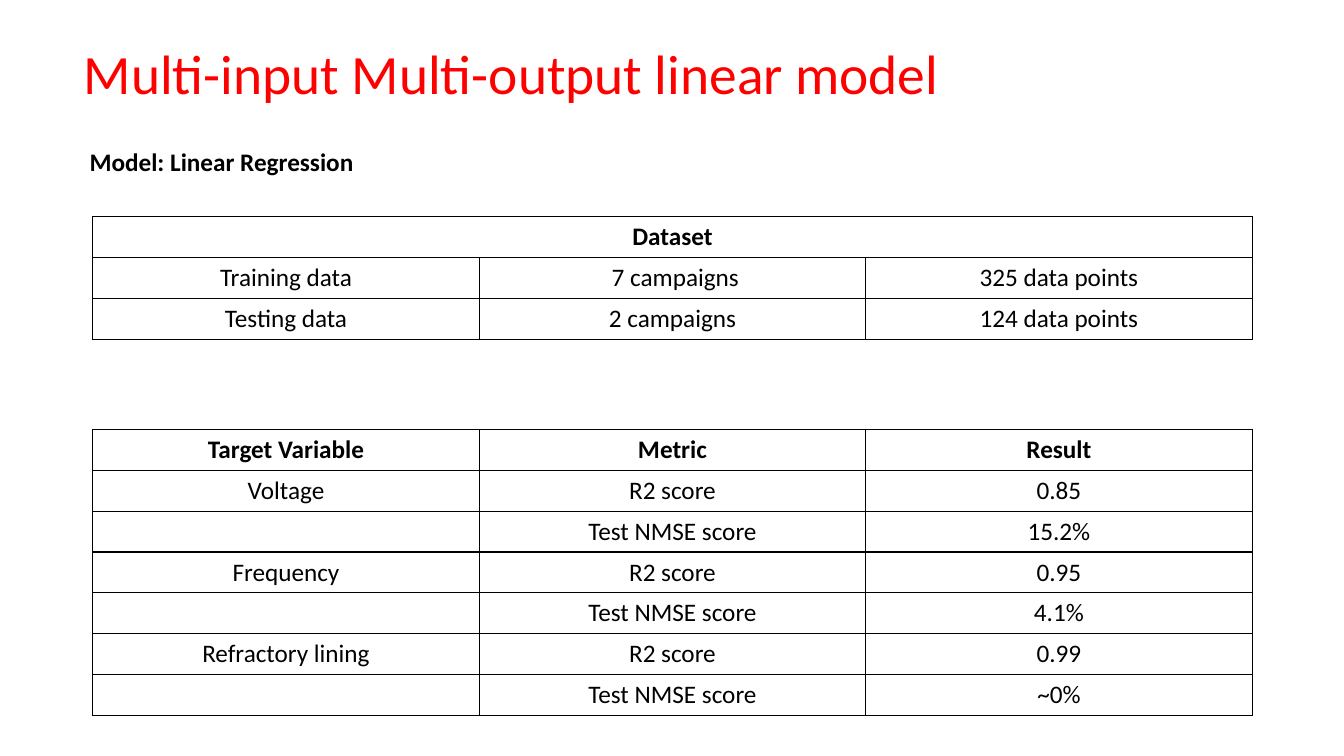
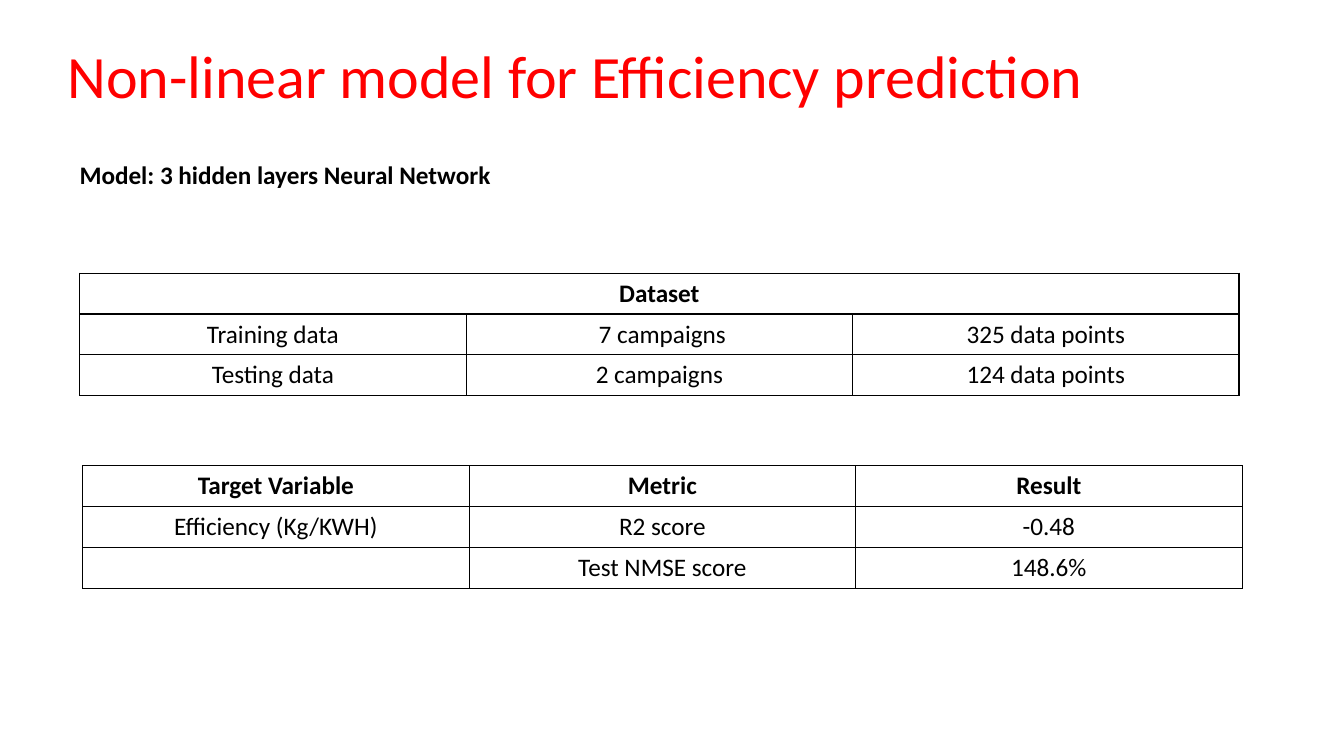
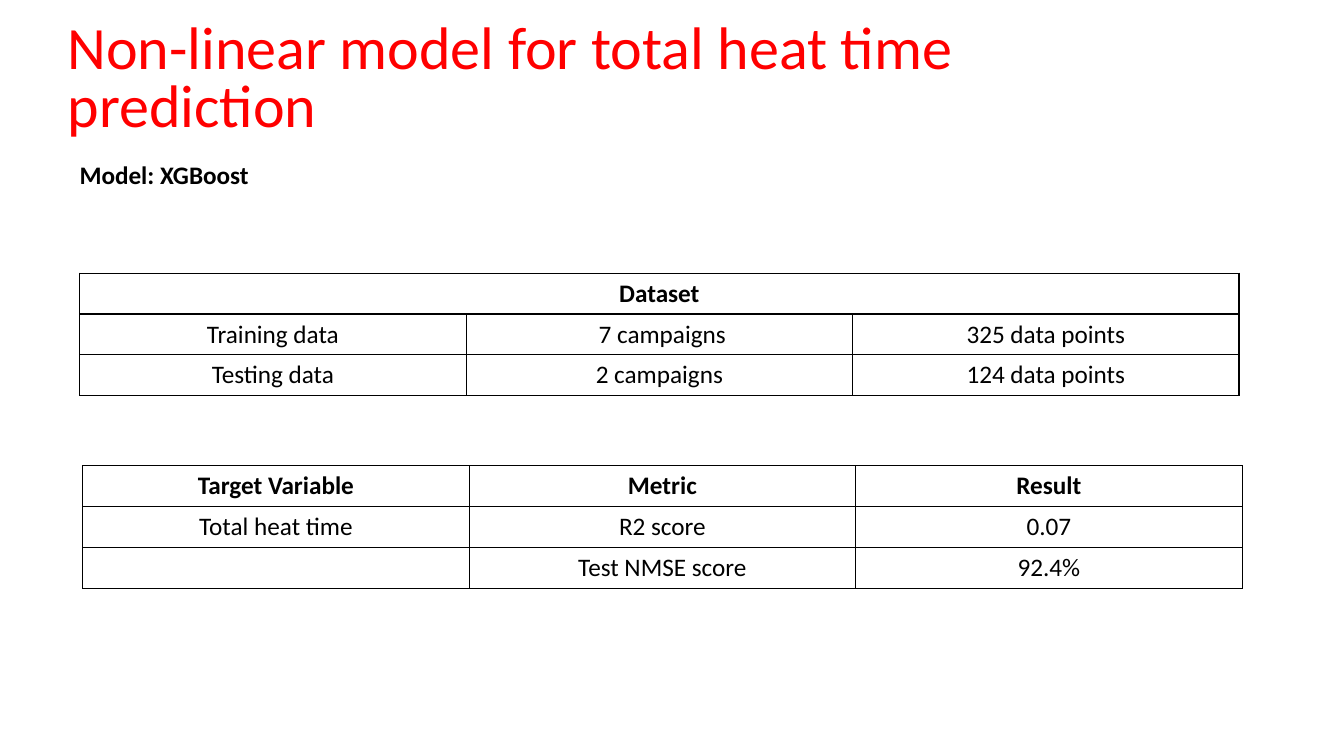
from lxml import etree
from pptx import Presentation
from pptx import util as u
from pptx.dml.color import RGBColor
from pptx.enum import text
from pptx.oxml import ns

COLORS = {"title": "FF0000", "text": "000000", "cell": "FFFFFF", "border": "000000"}
FONT = "Calibri"
BODY_SIZE = 18
TABLE_WIDTH = 11.5
ROW_HEIGHT = 2.84 / 7
TITLE_ONLY = 5

DATASET = [
    ["Dataset", "", ""],
    ["Training data", " 7 campaigns", "325 data points"],
    ["Testing data", "2 campaigns", "124 data points"],
]

# Placement and title style of the two slide variants
LINEAR = {
    "title_at": (0.73, 0.4), "title_size": 39.6, "title_spacing": 0.9,
    "model_at": (0.79, 1.4), "dataset_at": (0.92, 2.15), "scores_at": (0.92, 4.26),
}
NON_LINEAR = {
    "title_at": (0.57, 0.45), "title_size": 42.9, "title_spacing": 0.8,
    "model_at": (0.69, 1.53), "dataset_at": (0.79, 2.71), "scores_at": (0.82, 4.62),
}

# Title, model, scores as (target, R2, NMSE), variant
SLIDES = [
    ("Multi-input Multi-output linear model", "Linear Regression",
     [("Voltage", "0.85", "15.2%"), ("Frequency", "0.95", "4.1%"),
      ("Refractory lining", "0.99", "~0%")], LINEAR),
    ("Non-linear model for Efficiency prediction", "3 hidden layers Neural Network",
     [("Efficiency (Kg/KWH)", "-0.48", "148.6%")], NON_LINEAR),
    ("Non-linear model for total heat time prediction", "XGBoost",
     [("Total heat time", "0.07", "92.4%")], NON_LINEAR),
]


def apply(target, values):
    for name, value in values.items():
        setattr(target, name, value)


def inches(*lengths):
    return [u.Inches(length) for length in lengths]


def write(frame, wording, size, color, bold=False, **paragraph_format):
    """Put one formatted paragraph into a text frame."""
    paragraph = frame.paragraphs[0]
    apply(paragraph, paragraph_format)
    run = paragraph.add_run()
    run.text = wording
    apply(run.font, {"name": FONT, "size": u.Pt(size), "bold": bold})
    run.font.color.rgb = RGBColor.from_string(COLORS[color])


def add_title(slide, wording, look):
    title = slide.shapes.title
    left, top, width, height = inches(*look["title_at"], TABLE_WIDTH, 0.71)
    apply(title, {"left": left, "top": top, "width": width, "height": height})
    apply(title.text_frame, {"vertical_anchor": text.MSO_ANCHOR.MIDDLE,
                             "auto_size": text.MSO_AUTO_SIZE.NONE, "word_wrap": True})
    write(title.text_frame, wording, look["title_size"], "title",
          alignment=text.PP_ALIGN.LEFT, line_spacing=look["title_spacing"])


def add_model(slide, model, at):
    label = slide.shapes.add_textbox(*inches(*at, 7.48, 0.4))
    apply(label.text_frame, {"word_wrap": True,
                             "auto_size": text.MSO_AUTO_SIZE.SHAPE_TO_FIT_TEXT})
    write(label.text_frame, f"Model: {model}", BODY_SIZE, "text", bold=True)


def format_cell(cell):
    """Black border on all sides, then the plain fill."""
    properties = cell._tc.get_or_add_tcPr()
    for side in ("lnL", "lnR", "lnT", "lnB"):
        border = etree.SubElement(properties, ns.qn(f"a:{side}"), w=str(u.Pt(1)))
        fill = etree.SubElement(border, ns.qn("a:solidFill"))
        etree.SubElement(fill, ns.qn("a:srgbClr"), val=COLORS["border"])
    cell.fill.solid()
    cell.fill.fore_color.rgb = RGBColor.from_string(COLORS["cell"])


def add_grid(slide, rows, at):
    size = (TABLE_WIDTH, ROW_HEIGHT * len(rows))
    grid = slide.shapes.add_table(len(rows), len(rows[0]), *inches(*at, *size)).table
    apply(grid, {"first_row": False, "horz_banding": False})
    for r, row in enumerate(rows):
        for c, wording in enumerate(row):
            cell = grid.cell(r, c)
            format_cell(cell)
            if wording:
                write(cell.text_frame, wording, BODY_SIZE, "text", bold=r == 0,
                      alignment=text.PP_ALIGN.CENTER)
    return grid


def score_rows(scores):
    rows = [["Target Variable", "Metric", "Result"]]
    for target, r2, nmse in scores:
        rows += [[target, "R2 score", r2], ["", "Test NMSE score", nmse]]
    return rows


def main():
    deck = Presentation()
    apply(deck, {"slide_width": u.Inches(13.33), "slide_height": u.Inches(7.5)})
    for title, model, scores, look in SLIDES:
        slide = deck.slides.add_slide(deck.slide_layouts[TITLE_ONLY])
        add_title(slide, title, look)
        dataset = add_grid(slide, DATASET, look["dataset_at"])
        dataset.cell(0, 0).merge(dataset.cell(0, 2))
        add_grid(slide, score_rows(scores), look["scores_at"])
        add_model(slide, model, look["model_at"])
    deck.save("out.pptx")


if __name__ == "__main__":
    main()
